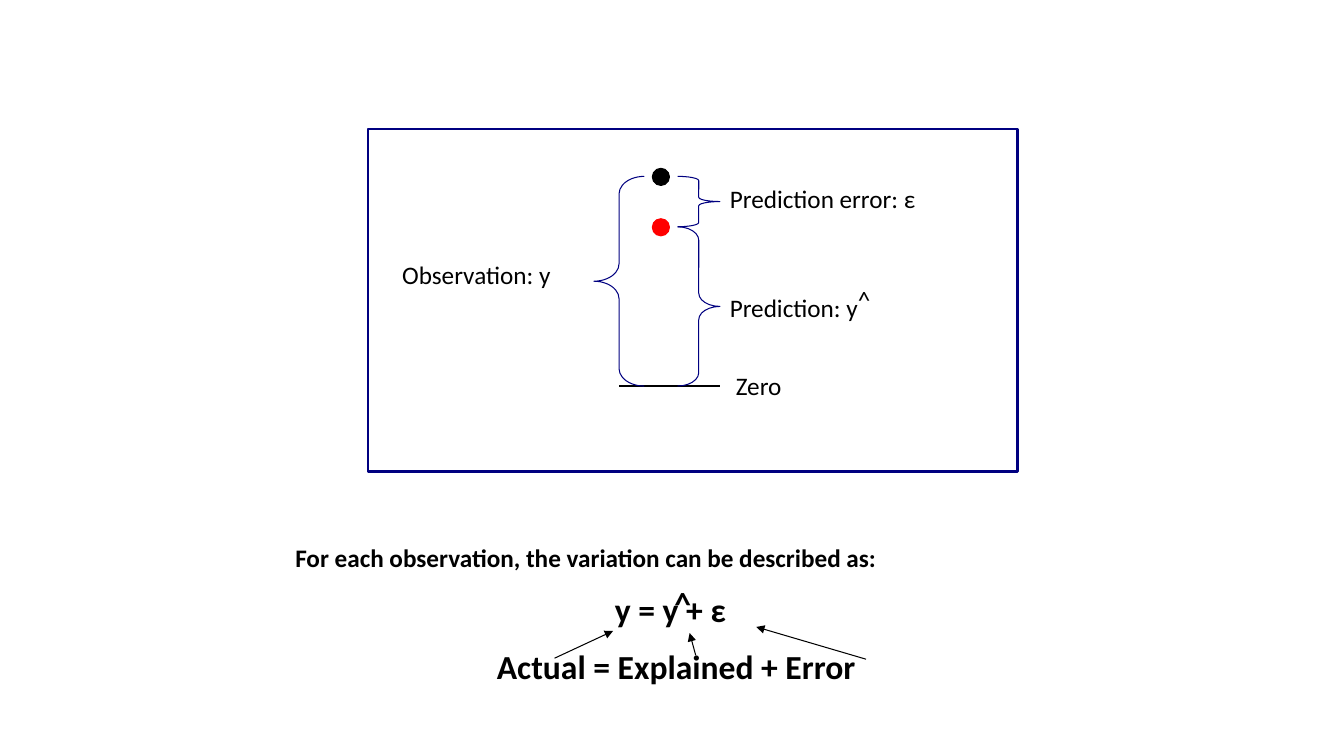
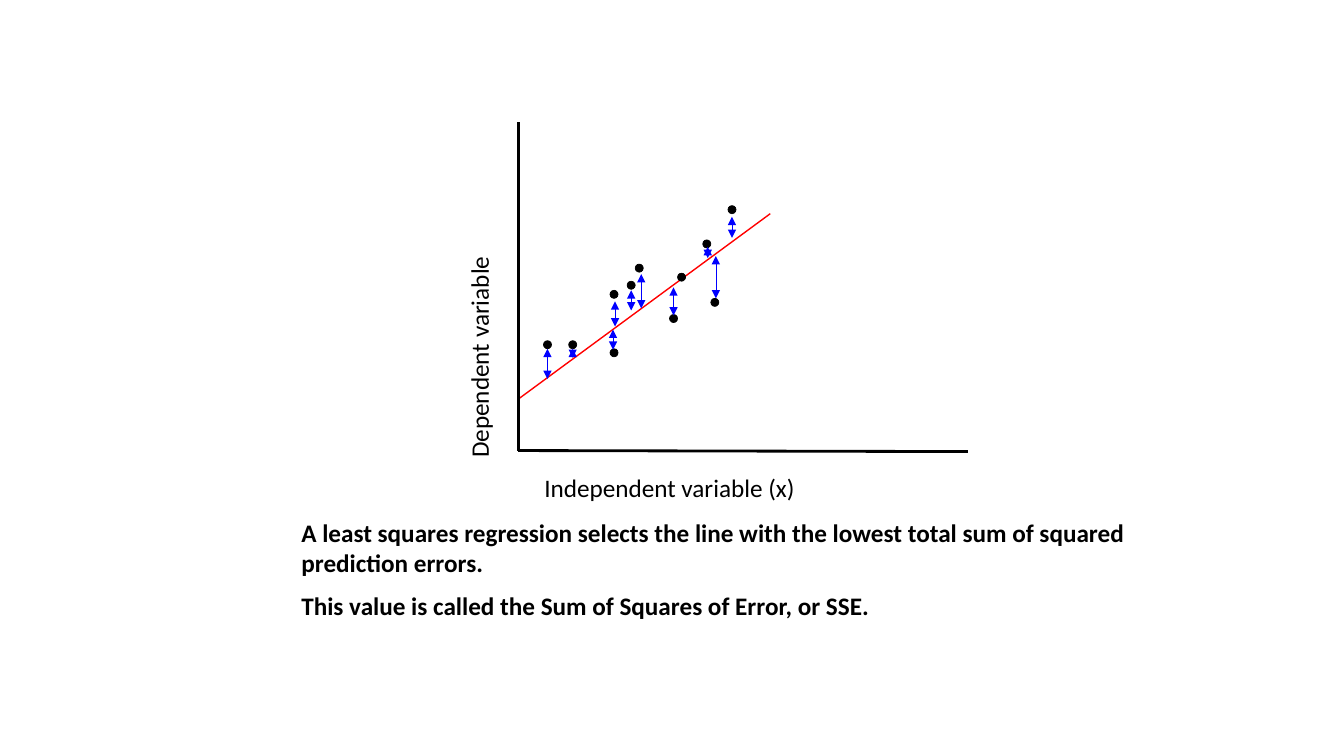
from pptx import Presentation
from pptx.dml.color import RGBColor
from pptx.enum.shapes import MSO_CONNECTOR as Link, MSO_SHAPE as Preset
from pptx.oxml.ns import qn
from pptx.util import Inches, Pt
from lxml.etree import SubElement

BLACK, RED, BLUE, NAVY = "000000", "FF0000", "0000FF", "000080"
FONT = "Calibri"

FRAME = (3.65, 1.28, 6.44, 3.4)
BRACES = [
    (Preset.RIGHT_BRACE, (6.72, 1.75, 0.42, 0.5), 0.1),
    (Preset.RIGHT_BRACE, (6.72, 2.25, 0.42, 1.58), 0.317),
    (Preset.LEFT_BRACE, (5.89, 1.75, 0.5, 2.08), 0.347),
]
POINTS = [(6.555, 1.755, BLACK), (6.555, 2.255, RED)]
VARIATION_LABELS = [
    ("Zero", (7.2, 3.62, 0.8, 0.4)),
    ("Prediction error: ε", (7.14, 1.77, 2.25, 0.4)),
    ("Prediction: y", (7.14, 2.85, 1.83, 0.4)),
    ("^", (8.41, 2.77, 0.4, 0.4)),
    ("Observation: y", (3.89, 2.52, 1.8, 0.4)),
]
EQUATION = [
    ("For each observation, the variation can be described as:", 18, 0),
    ("y = y + ε", 24, 3.17),
    ("Actual = Explained + Error", 24, 2),
]
TERM_ARROWS = [
    ((5.5, 6.53), (6.08, 6.26)),
    ((6.9, 6.5), (6.84, 6.28)),
    ((8.59, 6.54), (7.5, 6.22)),
]

ORIGIN = (5.14, 4.47)
AXIS_ENDS = [(5.14, 1.21), (9.6, 4.48)]
FIT_LINE = ((5.14, 3.96), (7.64, 2.12))
OBSERVATIONS = [
    (5.43, 3.42), (5.68, 3.42), (6.09, 3.5), (6.09, 2.92), (6.26, 2.83), (6.34, 2.66),
    (6.68, 3.16), (6.76, 2.75), (7.01, 2.42), (7.09, 3), (7.26, 2.08),
]
RESIDUALS = [
    (5.43, 3.46, 3.76), (5.68, 3.46, 3.55), (6.08, 3.27, 3.47), (6.1, 2.99, 3.24),
    (6.26, 2.88, 3.08), (6.36, 2.72, 3.06), (6.68, 2.85, 3.13), (7.1, 2.54, 2.96),
    (7.26, 2.15, 2.36), (7.02, 2.45, 2.56),
]
SSE_TEXT = [
    ("A least squares regression selects the line with the lowest total sum of squared "
     "prediction errors.", 18, 0),
    ("This value is called the Sum of Squares of Error, or SSE.", 18, 0),
]


def color(value):
    return RGBColor.from_string(value)


def add_text(page, place, lines, bold=False):
    box = page.shapes.add_textbox(*map(Inches, place))
    frame = box.text_frame
    frame.word_wrap = True
    frame.text = "\n".join(text for text, size, indent in lines)
    for index, (para, (text, size, indent)) in enumerate(zip(frame.paragraphs, lines)):
        if indent:
            para._p.get_or_add_pPr().set("marL", str(Inches(indent)))
        if index:
            para.space_before = Pt(size / 2)
        for span in para.runs:
            span.font.name = FONT
            span.font.size = Pt(size)
            span.font.bold = bold
            span.font.color.rgb = color(BLACK)
    return box


def add_label(page, text, place):
    return add_text(page, place, [(text, 18, 0)])


def add_outline(page, preset, place, line, width, fill=None):
    shape = page.shapes.add_shape(preset, *map(Inches, place))
    shape.shadow.inherit = False
    if fill:
        shape.fill.solid()
        shape.fill.fore_color.rgb = color(fill)
    else:
        shape.fill.background()
    shape.line.color.rgb = color(line)
    shape.line.width = Pt(width)
    return shape


def add_dot(page, x, y, size, fill, width):
    place = (x - size / 2, y - size / 2, size, size)
    add_outline(page, Preset.OVAL, place, fill, width, fill)


def add_line(page, start, end, line, width, arrows=()):
    link = page.shapes.add_connector(Link.STRAIGHT, *map(Inches, start + end))
    link.line.color.rgb = color(line)
    link.line.width = Pt(width)
    stroke = link.line._get_or_add_ln()
    for arrow in arrows:
        SubElement(stroke, qn(f"a:{arrow}"), type="triangle")
    SubElement(link._element.spPr, qn("a:effectLst"))


def build_variation(page):
    add_text(page, (2.83, 5.33, 8.58, 1.62), EQUATION, bold=True)
    add_text(page, (6.59, 5.73, 0.4, 0.5), [("^", 24, 0)], bold=True)
    add_outline(page, Preset.RECTANGLE, FRAME, NAVY, 2)
    add_line(page, (6.14, 3.83), (7.14, 3.83), BLACK, 2)
    for x, y, fill in POINTS:
        add_dot(page, x, y, 0.17, fill, 0.75)
    for preset, place, curve in BRACES:
        add_outline(page, preset, place, NAVY, 0.75).adjustments[0] = curve
    for text, place in VARIATION_LABELS:
        add_label(page, text, place)
    for start, end in TERM_ARROWS:
        add_line(page, start, end, BLACK, 0.75, ["tailEnd"])


def build_regression(page):
    add_line(page, *FIT_LINE, RED, 1)
    for end in AXIS_ENDS:
        add_line(page, ORIGIN, end, BLACK, 2)
    for x, y in OBSERVATIONS:
        add_dot(page, x, y, 0.08, BLACK, 0.5)
    for x, top, bottom in RESIDUALS:
        add_line(page, (x, top), (x, bottom), BLUE, 0.25, ["headEnd", "tailEnd"])
    add_label(page, "Independent variable (x)", (5.3, 4.64, 2.8, 0.4))
    add_label(page, "Dependent variable", (3.42, 3.11, 2.66, 0.4)).rotation = 270
    add_text(page, (2.89, 5.08, 8.58, 1.15), SSE_TEXT, bold=True)


def main():
    deck = Presentation()
    deck.slide_width, deck.slide_height = Inches(13.33), Inches(7.5)
    for build in (build_variation, build_regression):
        build(deck.slides.add_slide(deck.slide_layouts[6]))
    deck.save("out.pptx")


if __name__ == "__main__":
    main()
